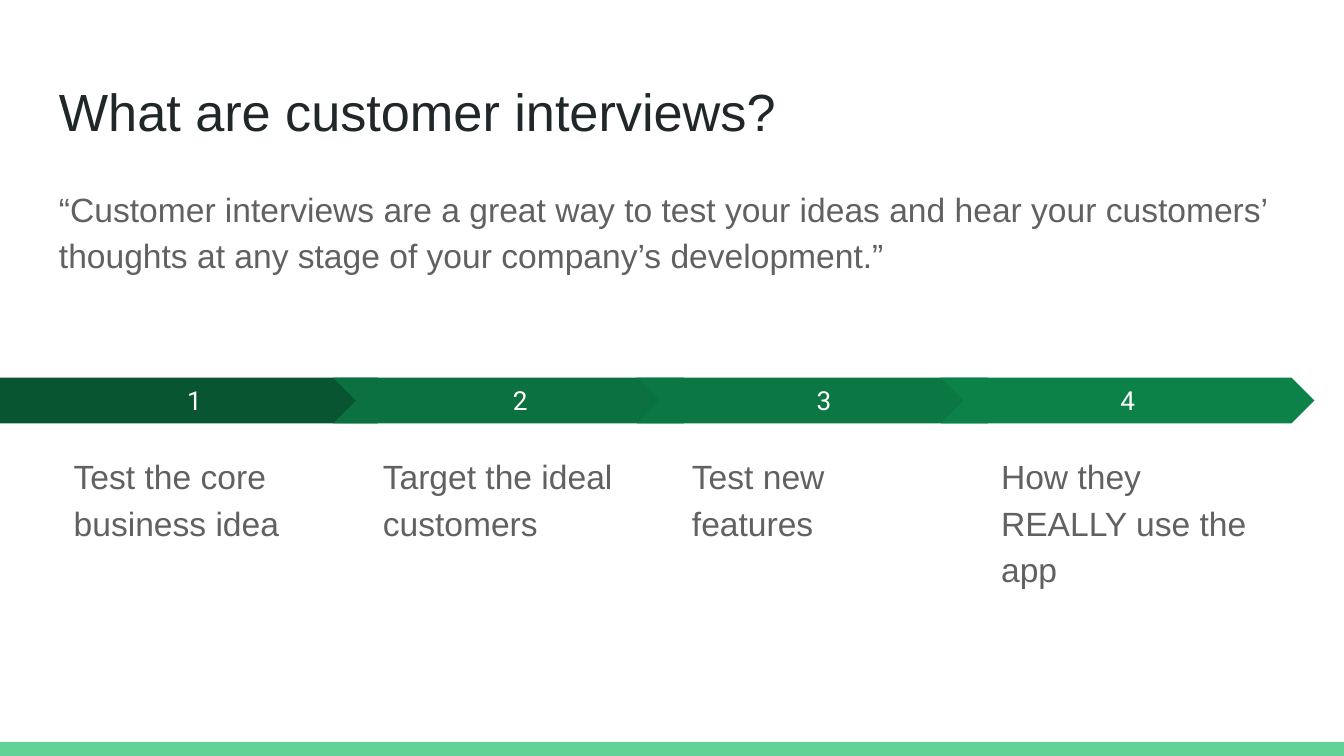
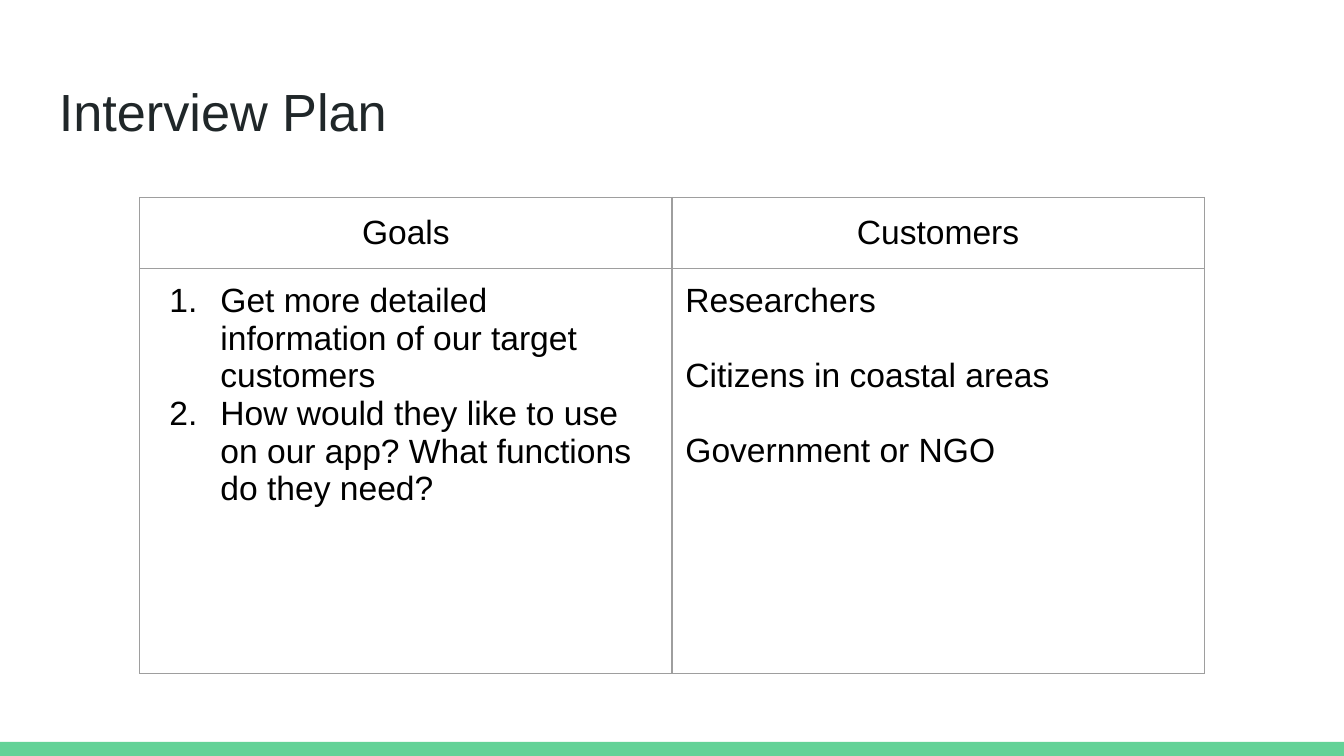
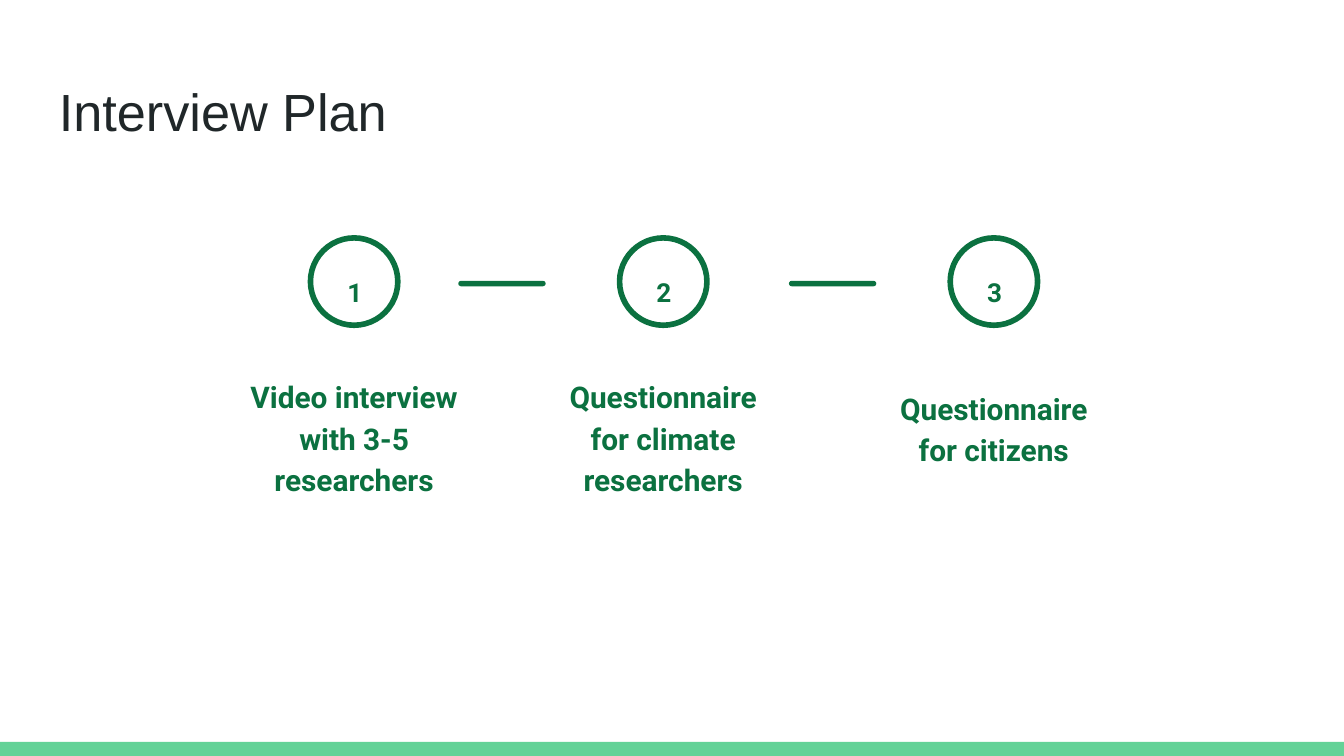
import pptx
import pptx.dml.color
import pptx.enum.shapes
import pptx.enum.text
import pptx.oxml
import pptx.oxml.ns
import pptx.util
from lxml import etree

Inches = pptx.util.Inches
Pt = pptx.util.Pt
RGBColor = pptx.dml.color.RGBColor
MSO_SHAPE = pptx.enum.shapes.MSO_SHAPE
ANCHOR = pptx.enum.text.MSO_ANCHOR
ALIGN = pptx.enum.text.PP_ALIGN
qn = pptx.oxml.ns.qn

COLORS = {
    "band": "63D297", "title": "202729", "body": "616161", "white": "FFFFFF",
    "black": "000000", "border": "9E9E9E", "green": "0B7140",
    "step 1": "085631", "step 2": "0B7140", "step 3": "0B7743", "step 4": "0C8148",
}


def add_box(s, x, y, w, h, kind=None, fill=None, anchor=ANCHOR.TOP):
    """Add a preset shape, or a text box when kind is None."""
    place = [Inches(v) for v in (x, y, w, h)]
    if kind is None:
        sp = s.shapes.add_textbox(*place)
    else:
        sp = s.shapes.add_shape(kind, *place)
        sp.shadow.inherit = False
        sp.line.fill.background()
        if fill:
            sp.fill.solid()
            sp.fill.fore_color.rgb = RGBColor.from_string(COLORS[fill])
        else:
            sp.fill.background()
    tf = sp.text_frame
    tf.word_wrap = True
    tf.vertical_anchor = anchor
    tf.margin_left = tf.margin_right = tf.margin_top = tf.margin_bottom = Inches(0.1)
    return sp


def write(tf, text, size, color, font="Arial", bold=False, align=ALIGN.LEFT, spacing=1.0):
    tf.text = text
    for p in tf.paragraphs:
        p.alignment = align
        p.line_spacing = spacing
        for r in p.runs:
            r.font.name = font
            r.font.size = Pt(size)
            r.font.bold = bold
            r.font.color.rgb = RGBColor.from_string(COLORS[color])


prs = pptx.Presentation()
prs.slide_width = Inches(10)
prs.slide_height = Inches(5.625)

# Shared frame: white background, bottom band and title
slides = []
for title in ["What are customer interviews?", "Interview Plan", "Interview Plan"]:
    s = prs.slides.add_slide(prs.slide_layouts[6])
    s.background.fill.solid()
    s.background.fill.fore_color.rgb = RGBColor.from_string(COLORS["white"])
    add_box(s, 0, 5.52, 10, 0.11, MSO_SHAPE.RECTANGLE, "band")
    write(add_box(s, 0.34, 0.49, 9.32, 0.63).text_frame, title, 28, "title")
    slides.append(s)
intro_slide, goals_slide, steps_slide = slides

# Slide 1: quote and arrow process
quote = ("“Customer interviews are a great way to test your ideas and hear your "
         "customers’ thoughts at any stage of your company’s development.”")
write(add_box(intro_slide, 0.34, 1.26, 9.32, 1).text_frame, quote, 18, "body", spacing=1.15)

purposes = ["Test the core business idea", "Target the ideal customers",
            "Test new features", "How they REALLY use the app"]
for i, purpose in enumerate(purposes):
    if i == 0:
        x, w, kind = 0, 2.98, MSO_SHAPE.PENTAGON
    else:
        x, w, kind = 2.48 + 2.26 * (i - 1), 2.78, MSO_SHAPE.CHEVRON
    arrow = add_box(intro_slide, x, 2.81, w, 0.34, kind, f"step {i + 1}", ANCHOR.MIDDLE)
    write(arrow.text_frame, str(i + 1), 14, "white", "Roboto", align=ALIGN.CENTER)
    label = add_box(intro_slide, 0.45 + 2.3 * i, 3.25, 2.08, 1.31)
    write(label.text_frame, purpose, 18, "body", spacing=1.15)

# Slide 2: table of goals and customers
rows = [
    ["Goals", "Customers"],
    ["Get more detailed information of our target customers\n"
     "How would they like to use on our app? What functions do they need?",
     "Researchers\nCitizens in coastal areas\nGovernment or NGO"],
]
table = goals_slide.shapes.add_table(
    2, 2, Inches(1.04), Inches(1.47), Inches(7.92), Inches(3.54)).table
table.first_row = table.horz_banding = False
table.rows[0].height = Inches(0.53)
table.rows[1].height = Inches(3.01)
for i, row in enumerate(rows):
    for j, text in enumerate(row):
        cell = table.cell(i, j)
        cell.margin_left = cell.margin_right = Inches(0.1)
        cell.margin_top = cell.margin_bottom = Inches(0.1)
        cell.vertical_anchor = ANCHOR.TOP if i else ANCHOR.MIDDLE
        write(cell.text_frame, text, 18, "black", align=ALIGN.LEFT if i else ALIGN.CENTER)
        tcPr = cell._tc.get_or_add_tcPr()
        for side in ("a:lnL", "a:lnR", "a:lnT", "a:lnB"):
            ln = etree.SubElement(tcPr, qn(side), w=str(Pt(0.75)))
            fill = etree.SubElement(ln, qn("a:solidFill"))
            etree.SubElement(fill, qn("a:srgbClr"), val=COLORS["border"])
        cell.fill.background()

for p in table.cell(1, 0).text_frame.paragraphs:
    pPr = p._p.get_or_add_pPr()
    pPr.set("marL", str(Inches(0.5)))
    pPr.set("indent", str(Inches(-0.38)))
    etree.SubElement(pPr, qn("a:buFont"), typeface="Arial")
    etree.SubElement(pPr, qn("a:buAutoNum"), type="arabicPeriod")
for p in table.cell(1, 1).text_frame.paragraphs[1:]:
    p.space_before = Pt(20)

# Slide 3: numbered steps joined by dashes
steps = [
    (2.31, "Video interview with 3-5 researchers", ANCHOR.BOTTOM),
    (4.61, "Questionnaire for climate researchers", ANCHOR.BOTTOM),
    (7.07, "Questionnaire for citizens", ANCHOR.MIDDLE),
]
for number, (x, text, anchor) in enumerate(steps, 1):
    if number > 1:
        dash = add_box(steps_slide, x - 1.2, 2.09, 0.65, 0.04,
                       MSO_SHAPE.ROUNDED_RECTANGLE, "green")
        dash.adjustments[0] = 0.5
    circle = add_box(steps_slide, x, 1.77, 0.65, 0.65, MSO_SHAPE.OVAL)
    circle.line.color.rgb = RGBColor.from_string(COLORS["green"])
    circle.line.width = Pt(3)
    digit = add_box(steps_slide, x + 0.09, 1.92, 0.48, 0.35)
    write(digit.text_frame, str(number), 14, "green", "Roboto", True, ALIGN.CENTER, 1.15)
    label = add_box(steps_slide, x - 0.61, 2.54, 1.87, 1.26, anchor=anchor)
    write(label.text_frame, text, 16, "green", "Roboto", True, ALIGN.CENTER, 1.15)

prs.save("out.pptx")
